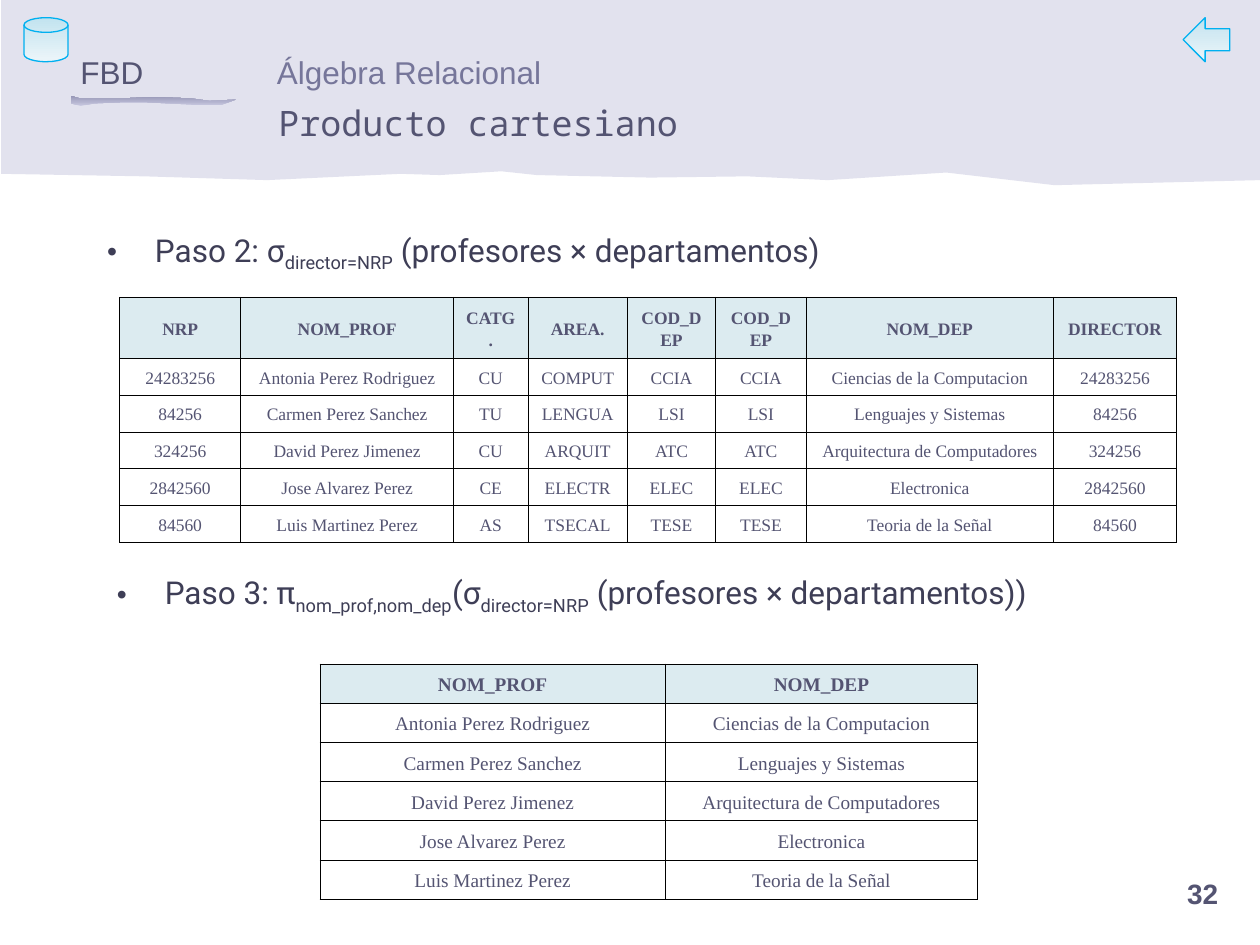
from dataclasses import dataclass

from lxml import etree
from pptx import Presentation
from pptx import util as u
from pptx.dml.color import RGBColor
from pptx.enum import shapes, text
from pptx.oxml.ns import qn


@dataclass(frozen=True)
class Theme:
    band: str = "C7C7DF"
    brush_end: str = "9797B7"
    heading: str = "545472"
    subject: str = "76769A"
    body: str = "3E3E56"
    icon_line: str = "00B0F0"
    icon_top: str = "C2E3EF"
    icon_bottom: str = "ECF5F9"
    header_fill: str = "DCEBF0"
    border: str = "000000"
    label_font: str = "Arial"
    title_font: str = "Noto Sans Mono"
    body_font: str = "Roboto"
    table_font: str = "Times New Roman"
    title_size: int = 20
    body_size: int = 18
    number_size: int = 16
    join_size: int = 10
    projection_size: int = 11


def apply(target, **values):
    for name, value in values.items():
        setattr(target, name, value)


def child(parent, tag, **attributes):
    return etree.SubElement(parent, qn(tag), **attributes)


class SlideBuilder:
    def __init__(self, slide, theme):
        self.slide = slide
        self.theme = theme

    def place(self, shape, box):
        left, top, width, height = map(u.Inches, box)
        apply(shape, left=left, top=top, width=width, height=height)

    def add_words(self, paragraph, words, font, size, color, bold=False):
        run = paragraph.add_run()
        run.text = words
        apply(run.font, name=font, size=u.Pt(size), bold=bold)
        run.font.color.rgb = RGBColor.from_string(color)
        return run

    def gradient(self, shape, first, last):
        shape.fill.gradient()
        shape.fill.gradient_angle = 270
        for stop, color in zip(shape.fill.gradient_stops, (first, last)):
            stop.color.rgb = RGBColor.from_string(color)

    def outline(self, points):
        start, *rest = [(u.Inches(x), u.Inches(y)) for x, y in points]
        builder = self.slide.shapes.build_freeform(*start)
        builder.add_line_segments(rest, close=True)
        shape = builder.convert_to_shape()
        shape.shadow.inherit = False
        shape.line.fill.background()
        return shape

    def band(self, points):
        band = self.outline(points)
        band.fill.solid()
        band.fill.fore_color.rgb = RGBColor.from_string(self.theme.band)
        color = band.element.spPr.find(qn("a:solidFill"))[0]
        child(color, "a:alpha", val="50000")

    def brush(self, points, center):
        turned = [(2 * center[0] - x, 2 * center[1] - y) for x, y in points]
        stroke = self.outline(turned)
        stroke.rotation = 180
        self.gradient(stroke, self.theme.band, self.theme.brush_end)

    def icon(self, kind, box):
        icon = self.slide.shapes.add_shape(kind, *map(u.Inches, box))
        icon.shadow.inherit = False
        self.gradient(icon, self.theme.icon_top, self.theme.icon_bottom)
        icon.line.color.rgb = RGBColor.from_string(self.theme.icon_line)
        icon.line.width = u.Pt(0.75)

    def label(self, words, box, size, color, align=text.PP_ALIGN.LEFT, bold=False):
        frame = self.slide.shapes.add_textbox(*map(u.Inches, box)).text_frame
        apply(frame, word_wrap=False, vertical_anchor=text.MSO_ANCHOR.BOTTOM,
              auto_size=text.MSO_AUTO_SIZE.SHAPE_TO_FIT_TEXT)
        frame.paragraphs[0].alignment = align
        self.add_words(frame.paragraphs[0], words, self.theme.label_font, size, color, bold)

    def raise_placeholder(self, shape, box):
        self.place(shape, box)
        shape.element.getparent().append(shape.element)
        apply(shape.text_frame, word_wrap=True, auto_size=text.MSO_AUTO_SIZE.NONE)
        return shape.text_frame

    def title(self, words, box):
        frame = self.raise_placeholder(self.slide.shapes.title, box)
        frame.vertical_anchor = text.MSO_ANCHOR.BOTTOM
        frame.paragraphs[0].alignment = text.PP_ALIGN.LEFT
        self.add_words(frame.paragraphs[0], words, self.theme.title_font,
                       self.theme.title_size, self.theme.heading)

    def first_step(self, parts, box):
        self.bullet(self.raise_placeholder(self.slide.placeholders[1], box), parts)

    def next_step(self, parts, box):
        frame = self.slide.shapes.add_textbox(*map(u.Inches, box)).text_frame
        frame.word_wrap = True
        self.bullet(frame, parts)

    def bullet(self, frame, parts):
        paragraph = frame.paragraphs[0]
        properties = paragraph._p.get_or_add_pPr()
        indent = u.Inches(0.38)
        properties.set("marL", str(indent))
        properties.set("indent", str(-indent))
        child(child(properties, "a:buClr"), "a:srgbClr", val=self.theme.body)
        child(properties, "a:buSzPct", val="90000")
        child(properties, "a:buFont", typeface="Arial")
        child(properties, "a:buChar", char="•")
        paragraph.space_before = u.Pt(4.5)
        for position, words in enumerate(parts):
            run = self.add_words(paragraph, words, self.theme.body_font,
                                 self.theme.body_size, self.theme.body)
            if position % 2:
                run._r.get_or_add_rPr().set("baseline", "-25000")

    def borders(self, cell):
        properties = cell._tc.get_or_add_tcPr()
        for side in ("a:lnL", "a:lnR", "a:lnT", "a:lnB"):
            line = child(properties, side, w=str(u.Pt(0.45)))
            child(child(line, "a:solidFill"), "a:srgbClr", val=self.theme.border)

    def table(self, rows, left, top, widths, row_height, size):
        box = (left, top, sum(widths), row_height * len(rows))
        table = self.slide.shapes.add_table(
            len(rows), len(widths), *map(u.Inches, box)).table
        apply(table, first_row=False, horz_banding=False)
        for column, width in zip(table.columns, widths):
            column.width = u.Inches(width)
        for r, row in enumerate(rows):
            table.rows[r].height = u.Inches(row_height)
            for c, words in enumerate(row):
                cell = table.cell(r, c)
                cell.vertical_anchor = text.MSO_ANCHOR.MIDDLE
                self.borders(cell)
                if r == 0:
                    cell.fill.solid()
                    cell.fill.fore_color.rgb = RGBColor.from_string(self.theme.header_fill)
                else:
                    cell.fill.background()
                paragraph = cell.text_frame.paragraphs[0]
                apply(paragraph, alignment=text.PP_ALIGN.CENTER, line_spacing=1.15)
                self.add_words(paragraph, words, self.theme.table_font, size,
                               self.theme.heading, r == 0)


BAND = [(0.01, 1.38), (0.01, 0), (10, 0), (10, 1.43), (8.37, 1.47), (7.51, 1.37),
        (6.57, 1.43), (5.93, 1.4), (5.16, 1.41), (4.26, 1.39), (3.98, 1.36),
        (3.49, 1.39), (3.18, 1.38), (2.12, 1.43), (1.15, 1.4)]
BRUSH = [(1.75, 0.83), (1.53, 0.83), (1.32, 0.82), (1.14, 0.81), (0.97, 0.81),
         (0.74, 0.82), (0.63, 0.84), (0.55, 0.82), (0.55, 0.76), (0.62, 0.78),
         (0.79, 0.78), (0.96, 0.78), (1.2, 0.77), (1.5, 0.78), (1.65, 0.8), (1.86, 0.79)]
JOIN = [
    ("NRP", "NOM_PROF", "CATG.", "AREA.", "COD_DEP", "COD_DEP", "NOM_DEP", "DIRECTOR"),
    ("24283256", "Antonia Perez Rodriguez", "CU", "COMPUT", "CCIA", "CCIA",
     "Ciencias de la Computacion", "24283256"),
    ("84256", "Carmen Perez Sanchez", "TU", "LENGUA", "LSI", "LSI",
     "Lenguajes y Sistemas", "84256"),
    ("324256", "David Perez Jimenez", "CU", "ARQUIT", "ATC", "ATC",
     "Arquitectura de Computadores", "324256"),
    ("2842560", "Jose Alvarez Perez", "CE", "ELECTR", "ELEC", "ELEC",
     "Electronica", "2842560"),
    ("84560", "Luis Martinez Perez", "AS", "TSECAL", "TESE", "TESE",
     "Teoria de la Señal", "84560"),
]
PROJECTION = [(row[1], row[6]) for row in JOIN]


def main():
    deck = Presentation()
    apply(deck, slide_width=u.Inches(10), slide_height=u.Inches(7.5))
    theme = Theme()
    page = SlideBuilder(deck.slides.add_slide(deck.slide_layouts[1]), theme)
    page.band(BAND)
    page.brush(BRUSH, (1.21, 0.8))
    page.label("32", (8.91, 6.9, 1.27, 0.37), theme.number_size, theme.heading,
               text.PP_ALIGN.CENTER, True)
    page.label("FBD", (0.54, 0.37, 0.7, 0.4), theme.body_size, theme.heading)
    page.label("Álgebra Relacional", (2.1, 0.37, 2.3, 0.4), theme.body_size, theme.subject)
    page.icon(shapes.MSO_SHAPE.FLOWCHART_MAGNETIC_DISK, (0.19, 0.14, 0.35, 0.35))
    page.icon(shapes.MSO_SHAPE.LEFT_ARROW, (9.39, 0.14, 0.37, 0.35))
    page.title("Producto cartesiano", (2.11, 0.56, 7.17, 0.63))
    page.first_step(["Paso 2: σ", "director=NRP", " (profesores × departamentos)"],
                    (0.75, 1.78, 8.58, 0.87))
    page.next_step(["Paso 3: π", "nom_prof,nom_dep", "(σ", "director=NRP",
                    " (profesores × departamentos))"], (0.83, 4.5, 8.5, 0.55))
    page.table(JOIN, 0.95, 2.36, (0.96, 1.69, 0.59, 0.79, 0.7, 0.72, 1.96, 0.98),
               0.24, theme.join_size)
    page.table(PROJECTION, 2.54, 5.27, (2.74, 2.48), 0.25, theme.projection_size)
    deck.save("out.pptx")


if __name__ == "__main__":
    main()
